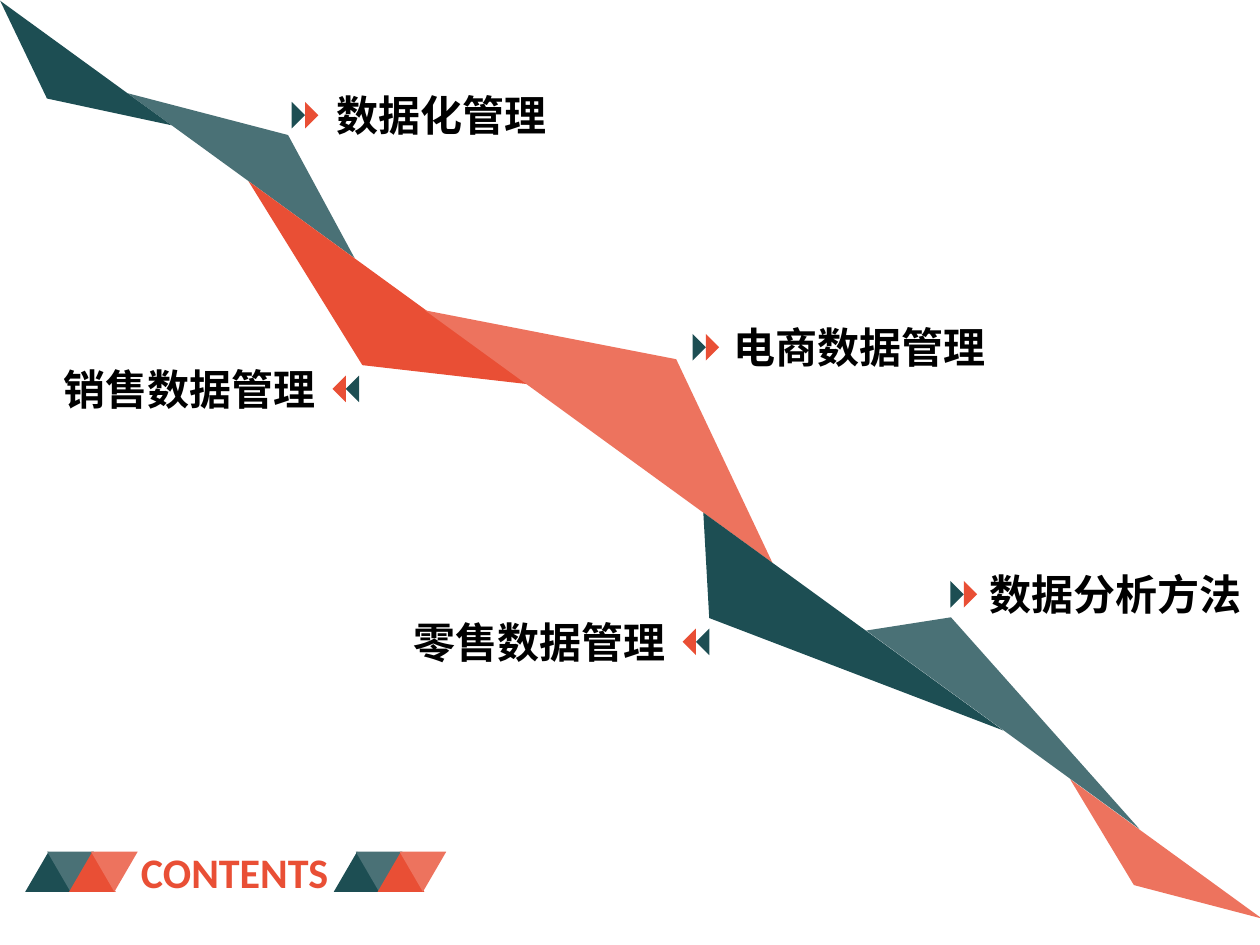
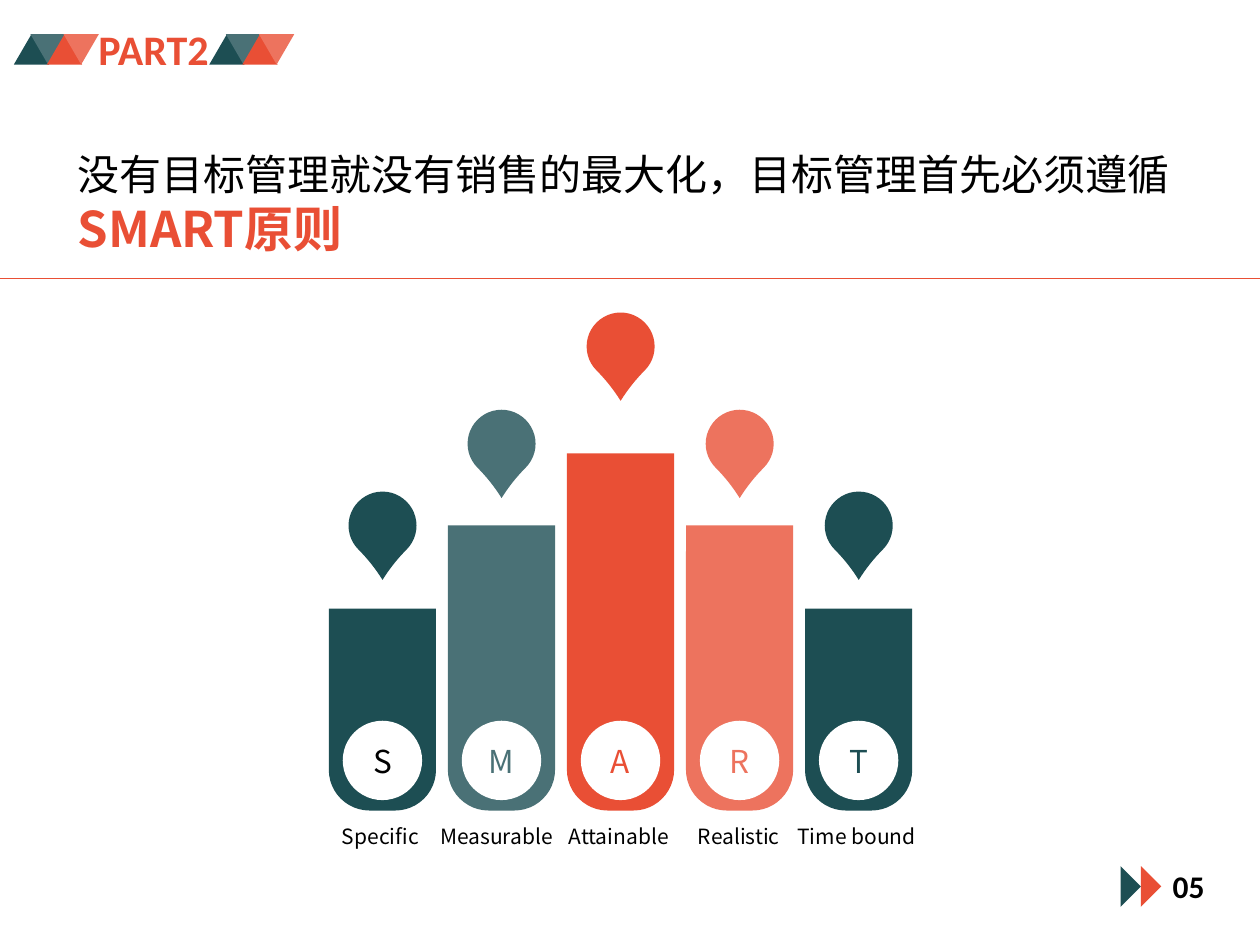
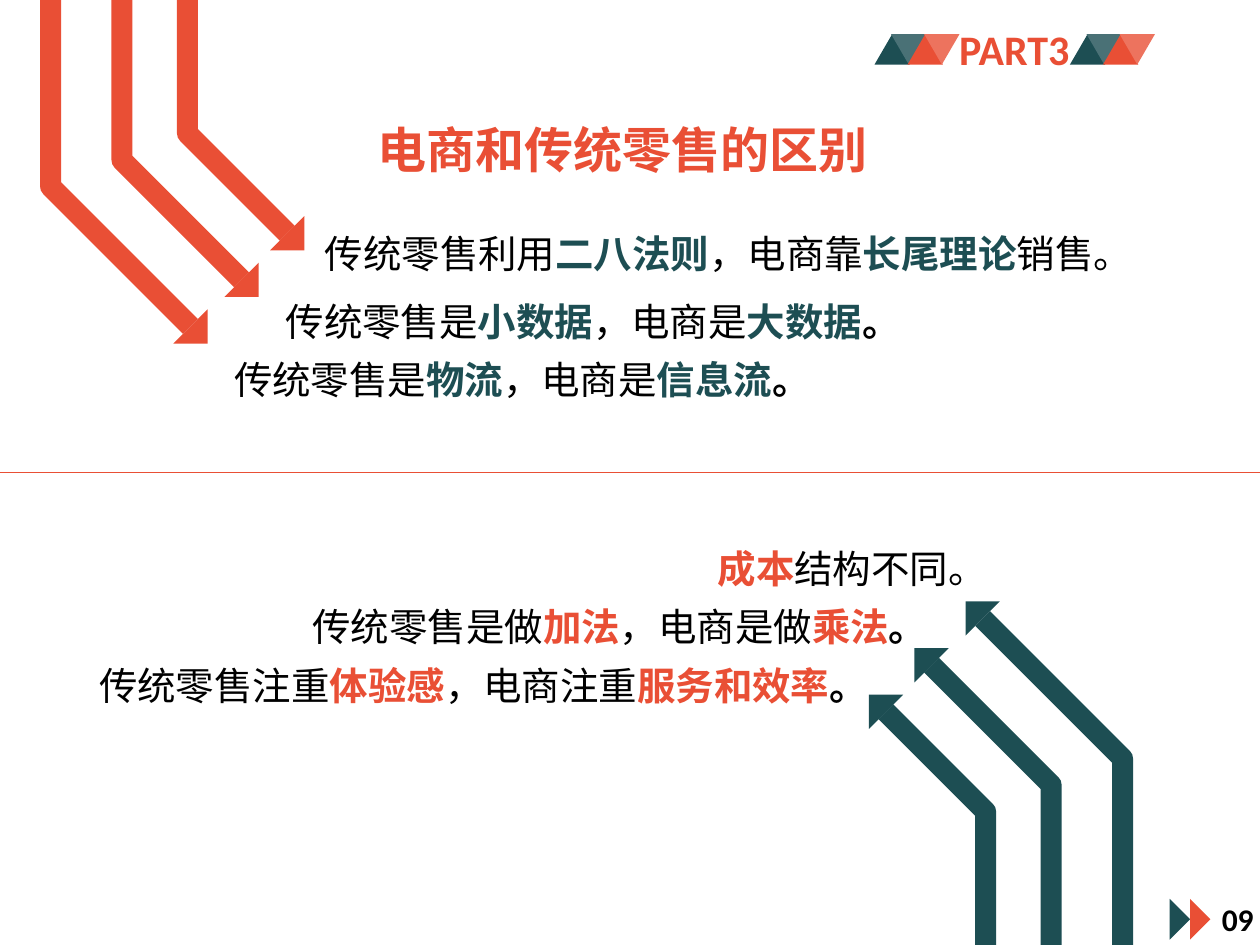
from dataclasses import dataclass
from math import sqrt

from lxml.etree import SubElement
from pptx import Presentation
from pptx.dml.color import RGBColor
from pptx.enum.shapes import MSO_CONNECTOR as Link, MSO_SHAPE as Kind
from pptx.enum.text import MSO_ANCHOR as Anchor, MSO_AUTO_SIZE as Fit, PP_ALIGN as Align
from pptx.oxml.ns import qn
from pptx.shapes.autoshape import Shape
from pptx.slide import Slide
from pptx.text.text import _Paragraph as Para
from pptx.util import Cm, Pt


@dataclass(frozen=True)
class Theme:
    dark: str = "1D4E53"
    teal: str = "4A7176"
    red: str = "E94F35"
    pink: str = "ED735E"
    black: str = "000000"
    white: str = "FFFFFF"
    latin: str = "Calibri"
    asian: str = "Noto Sans CJK SC"
    title: float = 28
    head: float = 24
    body: float = 22
    mark: float = 18
    note: float = 12
    thin: float = 0.75
    thick: float = 12


T = Theme()
WIDE, HIGH = 25.4, 19.05
RIGHT, LEFT = 225, 45  # turns that point a right triangle sideways


@dataclass(frozen=True)
class Box:
    x: float
    y: float
    w: float
    h: float


@dataclass(frozen=True)
class Fold:
    """A ribbon piece; peak is the apex share of its base."""
    box: Box
    peak: float
    ink: str
    down: bool = False


@dataclass(frozen=True)
class Topic:
    text: str
    x: float
    w: float
    mark_x: float
    mark_y: float
    turn: int = RIGHT


@dataclass(frozen=True)
class Column:
    letter: str
    word: str
    word_w: float
    top: float
    pin_y: float
    fill: str
    ink: str


@dataclass(frozen=True)
class Claim:
    """A line of text; every second part between bars is stressed."""
    text: str
    x: float
    y: float
    w: float
    ink: str
    wrap: bool = True


@dataclass(frozen=True)
class Lane:
    x: float
    knee: float
    run: float


FOLDS = [
    Fold(Box(2.39, 2.44, 5.66, 1.22), 0.55, T.teal),
    Fold(Box(-0.71, 1.17, 4.27, 1.04), 0.55, T.dark, True),
    Fold(Box(3.86, 5.54, 6.96, 1.65), 0.42, T.red, True),
    Fold(Box(8.38, 6.83, 8.66, 2.18), 0.54, T.pink),
    Fold(Box(12.98, 12.37, 7.47, 1.65), 0.82, T.dark, True),
    Fold(Box(20.83, 17.02, 4.78, 0.97), 0.52, T.pink, True),
    Fold(Box(17.17, 13.61, 6.81, 1.22), 0.18, T.teal),
]
TOPICS = [
    Topic("数据化管理", 6.53, 4.8, 5.69, 2.13),
    Topic("销售数据管理", 1.04, 6.07, 6.78, 7.65, LEFT),
    Topic("电商数据管理", 14.53, 5.77, 13.77, 6.81),
    Topic("零售数据管理", 8.08, 6.15, 13.84, 12.75, LEFT),
    Topic("数据分析方法", 19.69, 5.7, 18.97, 11.79),
]
COLUMNS = [
    Column("S", "Specific", 2.13, 12.27, 9.91, T.dark, T.black),
    Column("M", "Measurable", 2.97, 10.59, 8.26, T.teal, T.teal),
    Column("A", "Attainable", 2.59, 9.14, 6.3, T.red, T.red),
    Column("R", "Realistic", 2.18, 10.59, 8.26, T.pink, T.pink),
    Column("T", "Time bound", 2.97, 12.27, 9.91, T.dark, T.dark),
]
CLAIMS = [
    Claim("传统零售利用|二八法则|，电商靠|长尾理论|销售。", 6.3, 4.52, 17.45, T.dark),
    Claim("传统零售是|小数据|，电商是|大数据|。", 5.51, 5.89, 13.61, T.dark),
    Claim("传统零售是|物流|，电商是|信息流|。", 4.47, 7.06, 12.78, T.dark),
    Claim("传统零售注重|体验感|，电商注重|服务和效率|。", 1.75, 13.23, 16.97, T.red),
    Claim("传统零售是做|加法|，电商是做|乘法|。", 6.05, 12.04, 13.06, T.red, False),
    Claim("|成本|结构不同。", 14.22, 10.87, 5.99, T.red, False),
]
LANES = [Lane(1.02, 3.76, 2.82), Lane(2.46, 3.23, 2.41), Lane(3.78, 2.69, 2.01)]


def color(ink: str) -> RGBColor:
    return RGBColor.from_string(ink)


def draw(slide: Slide, kind: Kind, box: Box, ink: str, turn: float = 0,
         bends: tuple[float, ...] = ()) -> Shape:
    shape = slide.shapes.add_shape(kind, Cm(box.x), Cm(box.y), Cm(box.w), Cm(box.h))
    shape.shadow.inherit = False
    shape.fill.solid()
    shape.fill.fore_color.rgb = color(ink)
    shape.line.fill.background()
    shape.rotation = turn
    for i, bend in enumerate(bends):
        shape.adjustments[i] = bend
    return shape


def add_run(para: Para, text: str, size: float, ink: str, bold: bool = False,
            face: str = T.asian) -> None:
    run = para.add_run()
    run.text = text
    font = run.font
    font.size, font.bold, font.name = Pt(size), bold, face
    font.color.rgb = color(ink)
    SubElement(run._r.get_or_add_rPr(), qn("a:ea")).set("typeface", face)


def add_box(slide: Slide, box: Box, wrap: bool = True) -> Shape:
    shape = slide.shapes.add_textbox(Cm(box.x), Cm(box.y), Cm(box.w), Cm(box.h))
    shape.text_frame.word_wrap = wrap
    shape.text_frame.auto_size = Fit.SHAPE_TO_FIT_TEXT
    return shape


def write(slide: Slide, box: Box, text: str, size: float, ink: str = T.black,
          bold: bool = False, face: str = T.asian, wrap: bool = True) -> None:
    para = add_box(slide, box, wrap).text_frame.paragraphs[0]
    add_run(para, text, size, ink, bold, face)


def add_rule(slide: Slide, y: float) -> None:
    line = slide.shapes.add_connector(Link.STRAIGHT, 0, Cm(y), Cm(WIDE), Cm(y))
    line.line.color.rgb = color(T.red)
    line.line.width = Pt(T.thin)
    SubElement(line._element.spPr, qn("a:effectLst"))


def add_pair(slide: Slide, x: float, y: float, size: float, turn: int = RIGHT) -> None:
    """Two small arrowheads, the red one in front."""
    step = size / sqrt(2)
    inks = (T.dark, T.red) if turn == RIGHT else (T.red, T.dark)
    for i, ink in enumerate(inks):
        draw(slide, Kind.RIGHT_TRIANGLE, Box(x + i * step, y, size, size), ink, turn)


def add_badge(slide: Slide, x: float, y: float, side: float, gap: float,
              text: str, text_w: float) -> None:
    """A word centred between two strips of triangles."""
    tall, step = side * 0.86, side * 0.47
    for start in (x, x + gap):
        for i, ink in enumerate((T.dark, T.teal, T.red, T.pink)):
            draw(slide, Kind.ISOSCELES_TRIANGLE,
                 Box(start + i * step, y, side, tall), ink, 180 * (i % 2))
    mid = x + (gap + 3 * step + side) / 2
    write(slide, Box(mid - text_w / 2, y + tall / 2 - 0.64, text_w, 1.27), text,
          T.head, T.red, True, T.latin, False)


def add_part(slide: Slide, x: float, text: str) -> None:
    add_badge(slide, x, 0.69, 0.71, 3.94, text, 2.74)


def add_page(slide: Slide, x: float, y: float, text: str) -> None:
    add_pair(slide, x, y, 0.58)
    write(slide, Box(x + 1.09, y - 0.22, 1.17, 1.02), text, T.mark, bold=True,
          face=T.latin, wrap=False)


def add_column(slide: Slide, x: float, col: Column) -> None:
    wide, foot, pin, disc = 2.16, 16.34, 1.37, 1.6
    mid = x + wide / 2
    draw(slide, Kind.ROUND_2_SAME_RECTANGLE, Box(x, col.top, wide, foot - col.top),
         col.fill, bends=(0, 0.38))
    draw(slide, Kind.TEAR, Box(mid - pin / 2, col.pin_y, pin, pin), col.fill, 135, (1.13,))
    dot = draw(slide, Kind.OVAL, Box(mid - disc / 2, 14.53, disc, disc), T.white)
    dot.text_frame.vertical_anchor = Anchor.MIDDLE
    para = dot.text_frame.paragraphs[0]
    para.alignment = Align.CENTER
    add_run(para, col.letter, T.mark, col.ink)
    write(slide, Box(mid - col.word_w / 2, 16.48, col.word_w, 0.76), col.word,
          T.note, wrap=False)


def add_claim(slide: Slide, claim: Claim) -> None:
    para = add_box(slide, Box(claim.x, claim.y, claim.w, 1.19), claim.wrap).text_frame.paragraphs[0]
    for i, part in enumerate(claim.text.split("|")):
        if part:
            stress = i % 2 == 1
            add_run(para, part, T.body, claim.ink if stress else T.black,
                    stress or part == "。")


def add_lane(slide: Slide, lane: Lane, ink: str, back: bool) -> None:
    """A bent arrow from the top edge, or turned about to rise from the foot."""
    tip = (lane.x + lane.run, lane.knee + lane.run)
    spots = [(lane.x, 0), (lane.x, lane.knee), tip]
    if back:
        spots = [(23.65 - x, HIGH - y) for x, y in spots]
    first, *rest = [(Cm(x), Cm(y)) for x, y in spots]
    pen = slide.shapes.build_freeform(*first)
    pen.add_line_segments(rest, close=False)
    shape = pen.convert_to_shape()
    shape.shadow.inherit = False
    shape.fill.background()
    shape.line.color.rgb = color(ink)
    shape.line.width = Pt(T.thick)
    size = 0.69
    x, y = spots[-1]
    draw(slide, Kind.RIGHT_TRIANGLE, Box(x - size / 2, y - size / 2, size, size),
         ink, 90 if back else 270)


def add_contents(slide: Slide) -> None:
    for fold in FOLDS:
        draw(slide, Kind.ISOSCELES_TRIANGLE, fold.box, fold.ink,
             216 if fold.down else 36, (fold.peak,))
    add_badge(slide, 0.51, 17.17, 0.94, 6.22, "CONTENTS", 4.32)
    for topic in TOPICS:
        add_pair(slide, topic.mark_x, topic.mark_y, 0.38, topic.turn)
        write(slide, Box(topic.x, topic.mark_y - 0.45, topic.w, 1.27), topic.text,
              T.head, bold=True)


def add_smart(slide: Slide) -> None:
    for i, col in enumerate(COLUMNS):
        add_column(slide, 6.63 + 2.4 * i, col)
    add_rule(slide, 5.61)
    frame = add_box(slide, Box(1.32, 2.87, 22.73, 2.49), False).text_frame
    add_run(frame.paragraphs[0], "没有目标管理就没有销售的最大化，目标管理首先必须遵循", T.head, T.black)
    add_run(frame.add_paragraph(), "SMART原则", T.title, T.red, True)
    add_page(slide, 22.3, 17.58, "05")
    add_part(slide, 0.28, "PART2")


def add_retail(slide: Slide) -> None:
    for ink, back in ((T.red, False), (T.dark, True)):
        for lane in LANES:
            add_lane(slide, lane, ink, back)
    write(slide, Box(7.37, 2.29, 10.69, 1.45), "电商和传统零售的区别", T.title, T.red, True)
    add_page(slide, 23.29, 18.24, "09")
    for claim in CLAIMS:
        add_claim(slide, claim)
    add_rule(slide, 9.53)
    add_part(slide, 17.63, "PART3")


def main() -> None:
    deck = Presentation()
    deck.slide_width, deck.slide_height = Cm(WIDE), Cm(HIGH)
    for build in (add_contents, add_smart, add_retail):
        build(deck.slides.add_slide(deck.slide_layouts[6]))
    deck.save("out.pptx")


if __name__ == "__main__":
    main()
